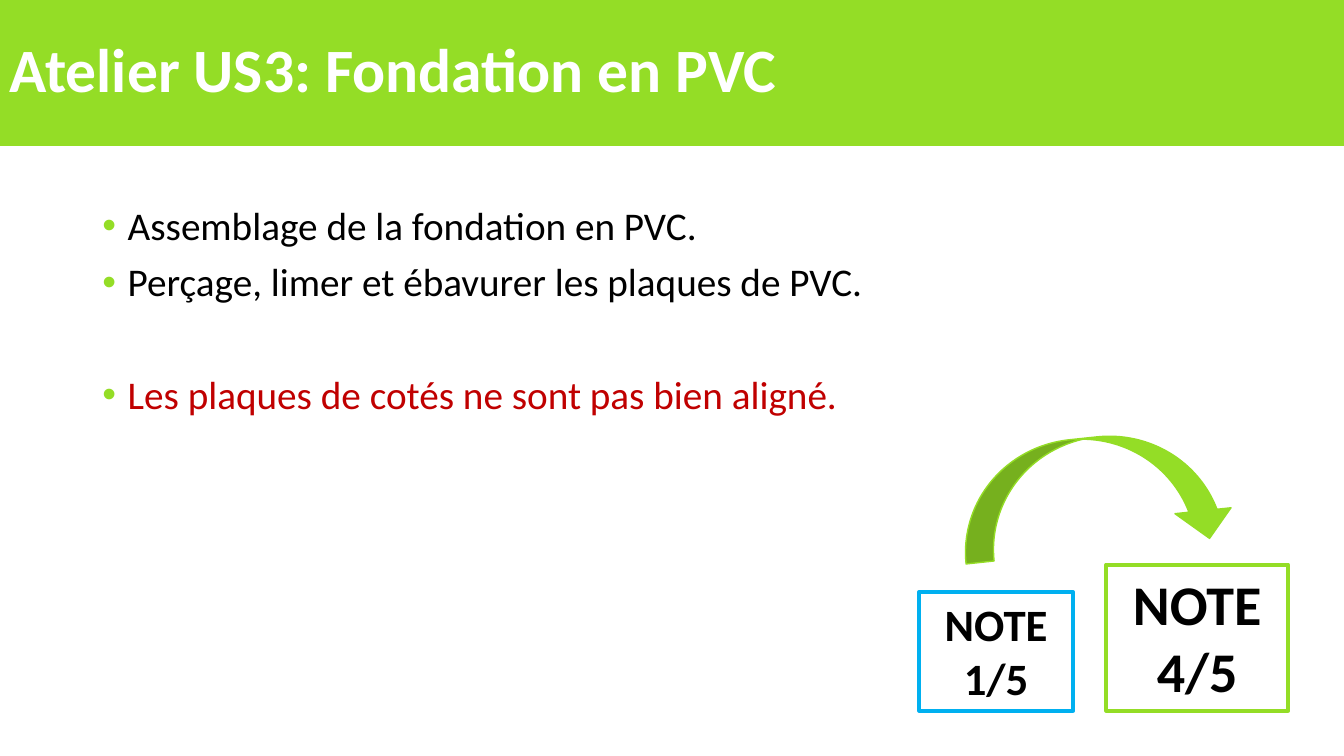
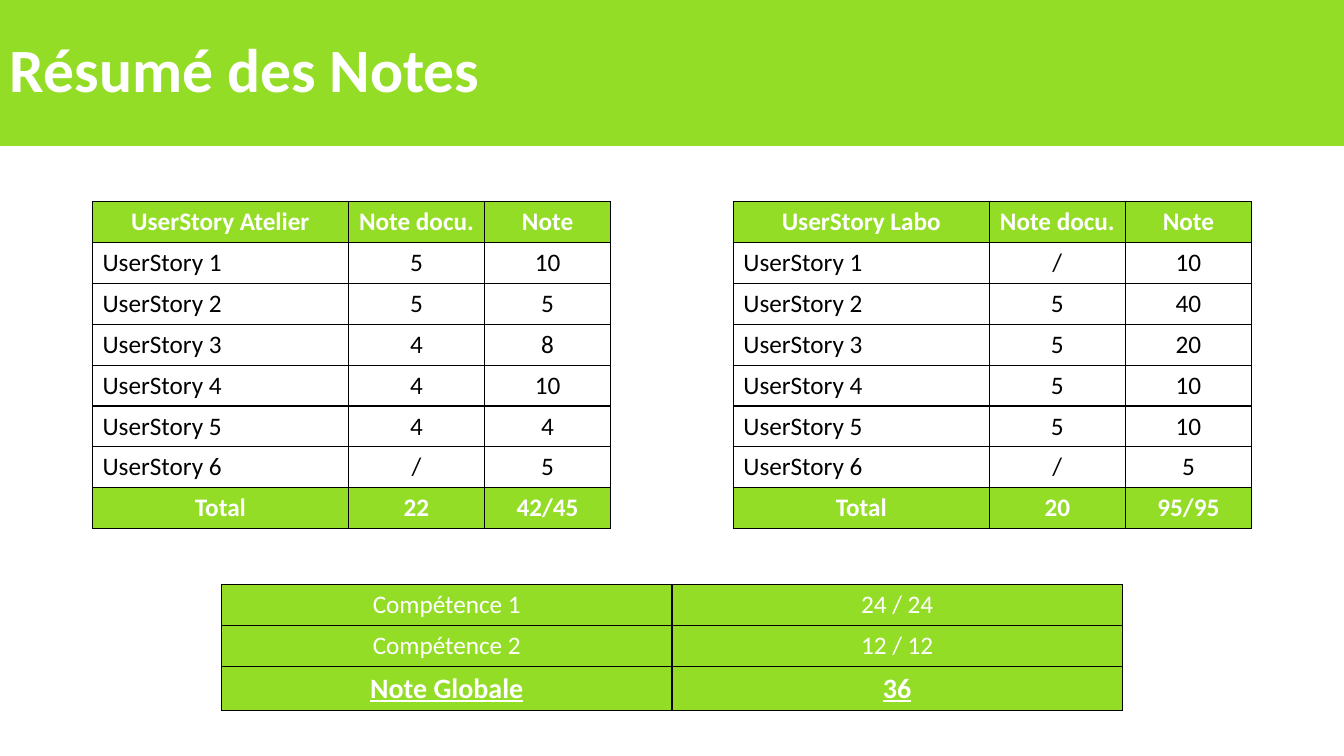
from pptx import Presentation
from pptx.dml.color import RGBColor
from pptx.enum.shapes import MSO_SHAPE
from pptx.enum.text import MSO_ANCHOR, MSO_AUTO_SIZE, PP_ALIGN
from pptx.oxml import parse_xml
from pptx.oxml.ns import nsdecls
from pptx.util import Cm, Pt

RECT, ARROW = MSO_SHAPE.RECTANGLE, MSO_SHAPE.CURVED_DOWN_ARROW
MIDDLE, GROW = MSO_ANCHOR.MIDDLE, MSO_AUTO_SIZE.SHAPE_TO_FIT_TEXT
LEFT, CENTER = PP_ALIGN.LEFT, PP_ALIGN.CENTER


class Theme:
    green, blue, red = "94DD26", "00B0F0", "C00000"
    black, white = "000000", "FFFFFF"
    face = "Calibri"
    title, body, cell, total = 44, 28, 18, 20
    old, new = 32, 40


# Content: text, colour, space before
TASK = "Atelier US3: Fondation en PVC"
POINTS = [
    ("Assemblage de la fondation en PVC.", Theme.black, 0),
    ("Perçage, limer et ébavurer les plaques de PVC.", Theme.black, 10),
    ("Les plaques de cotés ne sont pas bien aligné.", Theme.red, 50),
]
# Score, left, width, height, text size, line colour
MARKS = [
    ("4/5", 27.88, 4.58, 3.68, Theme.new, Theme.green),
    ("1/5", 23.17, 3.87, 2.99, Theme.old, Theme.blue),
]

RECAP = "Résumé des Notes"
# Name, notes of the six stories, totals
GRIDS = [
    ("Atelier", [(5, 10), (5, 5), (4, 8), (4, 10), (4, 4), ("/", 5)],
     ("22", "42/45")),
    ("Labo", [("/", 10), (5, 40), (5, 20), (5, 10), (5, 10), ("/", 5)],
     ("20", "95/95")),
]
SKILLS = [("Compétence 1", "24 / 24"), ("Compétence 2", "12 / 12"),
          ("Note Globale", "36")]

# Layout, in centimetres
WIDE, HIGH = 33.87, 19.05
BAND = 3.68
SIDE, TOP = 2.33, 5.08
FOOT = 17.91
COLS = (6.45, 3.43, 3.18)
HALF = (11.35, 11.35)
ROW, LAST = 1.03, 1.11


def box(*sizes):
    return [Cm(size) for size in sizes]


def write(para, text, size, color=Theme.black, align=LEFT, **form):
    para.alignment = align
    run = para.add_run()
    run.text = text
    form = {"name": Theme.face, "size": Pt(size), "bold": False, **form}
    for key, value in form.items():
        setattr(run.font, key, value)
    run.font.color.rgb = RGBColor.from_string(color)


def paint(shape, fill, line=None, width=1):
    shape.shadow.inherit = False
    shape.fill.solid()
    shape.fill.fore_color.rgb = RGBColor.from_string(fill)
    if line:
        shape.line.color.rgb = RGBColor.from_string(line)
        shape.line.width = Pt(width)
    else:
        shape.line.fill.background()


# Page with its title band
def page(deck, title):
    slide = deck.slides.add_slide(deck.slide_layouts[6])
    band = slide.shapes.add_shape(RECT, *box(0, 0, WIDE, BAND))
    paint(band, Theme.green)
    frame = band.text_frame
    frame.vertical_anchor = MIDDLE
    para = frame.paragraphs[0]
    para.line_spacing = 0.9
    write(para, title, Theme.title, Theme.white, bold=True)
    return slide.shapes


def bullet(para):
    props = para._p.get_or_add_pPr()
    props.set("marL", str(Cm(0.64)))
    props.set("indent", str(-Cm(0.64)))
    props.append(parse_xml(
        f'<a:buClr {nsdecls("a")}><a:srgbClr val="{Theme.green}"/></a:buClr>'))
    props.append(parse_xml(
        f'<a:buFont {nsdecls("a")} typeface="Arial"/>'))
    props.append(parse_xml(f'<a:buChar {nsdecls("a")} char="•"/>'))


def points(shapes):
    frame = shapes.add_textbox(
        *box(SIDE, TOP, WIDE - 2 * SIDE, 12.1)).text_frame
    frame.word_wrap = True
    for index, (text, color, gap) in enumerate(POINTS):
        para = frame.add_paragraph() if index else frame.paragraphs[0]
        bullet(para)
        para.line_spacing = 0.9
        para.space_before = Pt(gap)
        write(para, text, Theme.body, color)


def mark(shapes, score, left, wide, high, size, color):
    note = shapes.add_textbox(*box(left, FOOT - high, wide, high))
    note.line.color.rgb = RGBColor.from_string(color)
    note.line.width = Pt(3)
    frame = note.text_frame
    frame.word_wrap = True
    frame.auto_size = GROW
    write(frame.paragraphs[0], "NOTE", size, align=CENTER, bold=True)
    write(frame.add_paragraph(), score, size, align=CENTER, bold=True)


# Tables
def edge(cell):
    props = cell._tc.get_or_add_tcPr()
    for side in "LRTB":
        props.append(parse_xml(
            f'<a:ln{side} {nsdecls("a")} w="{Pt(1)}"><a:solidFill>'
            f'<a:srgbClr val="{Theme.black}"/></a:solidFill></a:ln{side}>'))


def grid(shapes, left, top, cols, rows, style):
    """Draw rows; style(row, col) gives the fill and the text format."""
    table = shapes.add_table(len(rows), len(cols), *box(
        left, top, sum(cols), ROW * len(rows))).table
    table.first_row = table.horz_banding = False
    for col, wide in zip(table.columns, cols):
        col.width = Cm(wide)
    for r, row in enumerate(rows):
        table.rows[r].height = Cm(ROW)
        for c, text in enumerate(row):
            cell = table.cell(r, c)
            fill, form = style(r, c)
            edge(cell)
            if fill:
                cell.fill.solid()
                cell.fill.fore_color.rgb = RGBColor.from_string(fill)
            else:
                cell.fill.background()
            write(cell.text_frame.paragraphs[0], str(text), **form)
    return table


def story(r, c):
    if r in (0, 7):
        return Theme.green, dict(size=Theme.cell, color=Theme.white,
                                 align=CENTER, bold=True)
    return None, dict(size=Theme.cell, align=CENTER if c else LEFT)


def skill(r, c):
    form = dict(size=Theme.cell, color=Theme.white, align=CENTER)
    if r == len(SKILLS) - 1:
        form.update(size=Theme.total, bold=True, underline=True)
    return Theme.green, form


def main():
    deck = Presentation()
    deck.slide_width, deck.slide_height = box(WIDE, HIGH)

    # Workshop task
    shapes = page(deck, TASK)
    points(shapes)
    for item in MARKS:
        mark(shapes, *item)
    arrow = shapes.add_shape(ARROW, *box(24.18, 11.02, 6.88, 2.84))
    arrow.rotation = 354
    paint(arrow, Theme.green, Theme.green)

    # Summary of notes
    shapes = page(deck, RECAP)
    for left, (name, notes, total) in zip(
            (SIDE, WIDE - SIDE - sum(COLS)), GRIDS):
        rows = [(f"UserStory {name}", "Note docu.", "Note")]
        rows += [(f"UserStory {n}", *pair) for n, pair in enumerate(notes, 1)]
        rows.append(("Total", *total))
        grid(shapes, left, TOP, COLS, rows, story)
    table = grid(shapes, (WIDE - sum(HALF)) / 2, 14.73, HALF, SKILLS, skill)
    table.rows[len(SKILLS) - 1].height = Cm(LAST)

    deck.save("out.pptx")


if __name__ == "__main__":
    main()
